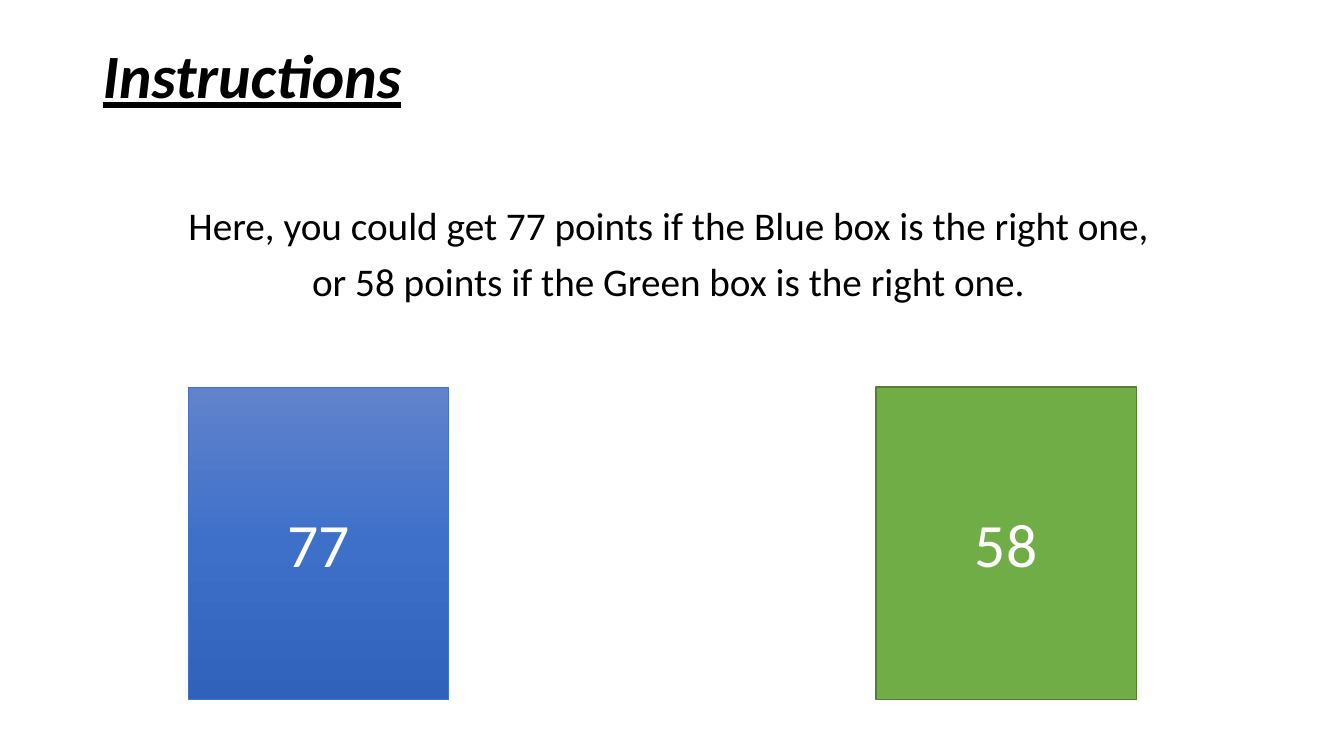
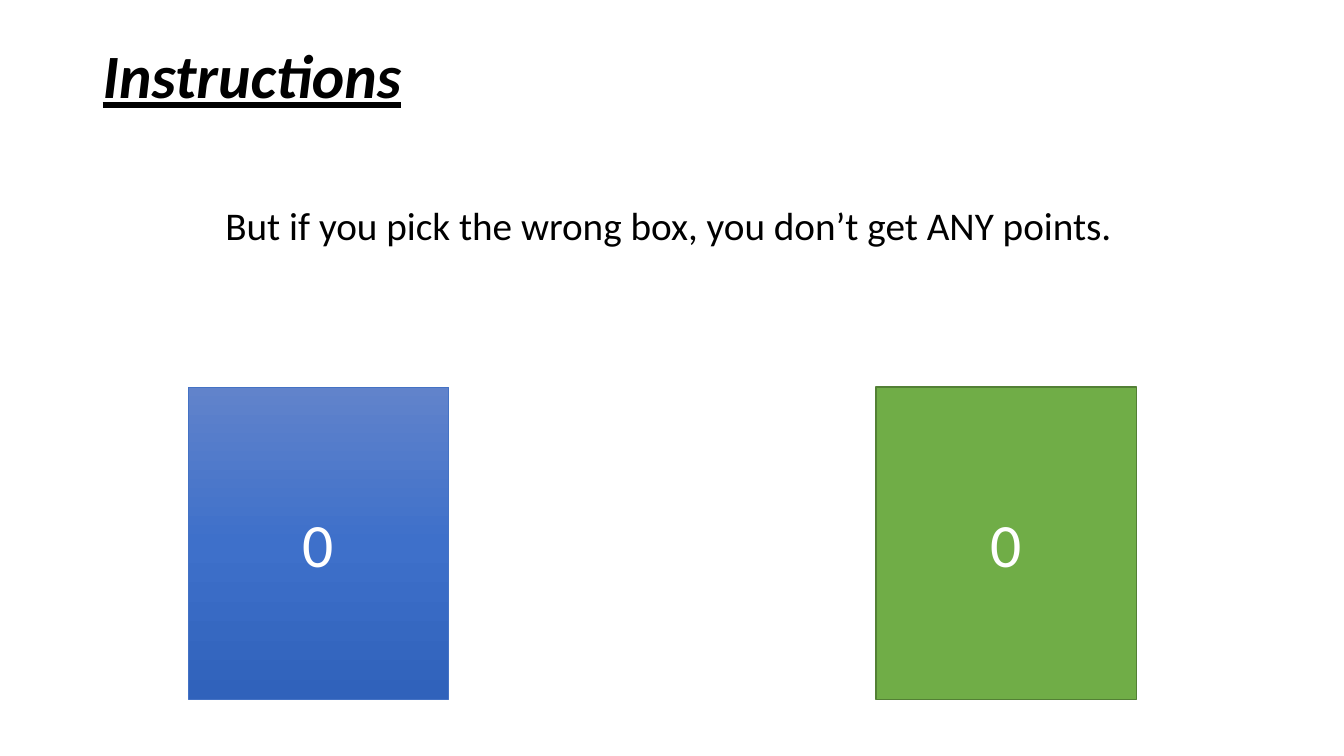
from copy import deepcopy

from pptx import Presentation
from pptx.dml.color import RGBColor
from pptx.enum.shapes import MSO_SHAPE
from pptx.enum.text import MSO_ANCHOR, PP_ALIGN
from pptx.oxml.ns import qn
from pptx.util import Inches, Pt

COLORS = {
    "text": "000000",
    "score": "FFFFFF",
    "blue_top": "6183CB",
    "blue_middle": "3E70CA",
    "blue_bottom": "3062BB",
    "blue_line": "4472C4",
    "green": "70AD47",
    "green_line": "538035",
}
BLUE_FILL = ("blue_top", "blue_middle", "blue_bottom")


class Deck:
    """Holds the shared style and the current slide."""

    font = "Calibri"
    box_top, box_width, box_height = 3.84, 2.58, 3.1

    def __init__(self):
        self.presentation = Presentation()
        self.presentation.slide_width = Inches(13.33)
        self.presentation.slide_height = Inches(7.5)
        self.slide = None

    def color(self, name):
        return RGBColor.from_string(COLORS[name])

    def new_slide(self):
        blank = self.presentation.slide_layouts[6]
        self.slide = self.presentation.slides.add_slide(blank)

    def add_run(self, paragraph, text, size, color):
        run = paragraph.add_run()
        run.text = text
        run.font.name = self.font
        run.font.size = Pt(size)
        run.font.color.rgb = self.color(color)
        return run

    def text_frame(self, left, top, width, height):
        area = self.slide.shapes.add_textbox(
            Inches(left), Inches(top), Inches(width), Inches(height))
        area.text_frame.word_wrap = True
        return area.text_frame

    def title(self, text):
        heading = self.text_frame(0.92, 0.4, 11.5, 1.45).paragraphs[0]
        heading.line_spacing = 0.9
        font = self.add_run(heading, text, 44, "text").font
        font.bold = font.italic = font.underline = True

    def message(self, lines):
        frame = self.text_frame(0.88, 2, 11.5, 1.6)
        for index, line in enumerate(lines):
            sentence = frame.add_paragraph() if index else frame.paragraphs[0]
            sentence.alignment = PP_ALIGN.CENTER
            sentence.line_spacing = 0.9
            sentence.space_before = Pt(10)
            self.add_run(sentence, line, 28, "text")

    def vertical_gradient(self, box, names):
        box.fill.gradient()
        box.fill.gradient_angle = 270
        # A new gradient has two stops; add the ones in between
        stops = box.element.spPr.find(".//" + qn("a:gsLst"))
        for _ in names[2:]:
            stops.insert(1, deepcopy(stops[0]))
        for index, (stop, name) in enumerate(zip(box.fill.gradient_stops, names)):
            stop.position = index / (len(names) - 1)
            stop.color.rgb = self.color(name)

    def score_box(self, left, score, fill, line, line_width):
        box = self.slide.shapes.add_shape(
            MSO_SHAPE.RECTANGLE, Inches(left), Inches(self.box_top),
            Inches(self.box_width), Inches(self.box_height))
        box.shadow.inherit = False
        if isinstance(fill, tuple):
            self.vertical_gradient(box, fill)
        else:
            box.fill.solid()
            box.fill.fore_color.rgb = self.color(fill)
        box.line.color.rgb = self.color(line)
        box.line.width = Pt(line_width)
        box.text_frame.vertical_anchor = MSO_ANCHOR.MIDDLE
        label = box.text_frame.paragraphs[0]
        label.alignment = PP_ALIGN.CENTER
        self.add_run(label, score, 44, "score")

    def instructions(self, lines, blue_score, green_score):
        self.new_slide()
        self.title("Instructions")
        self.message(lines)
        self.score_box(1.87, blue_score, BLUE_FILL, "blue_line", 0.5)
        self.score_box(8.69, green_score, "green", "green_line", 1)


def main():
    deck = Deck()

    # Points for the right box
    deck.instructions(
        ["Here, you could get 77 points if the Blue box is the right one,",
         "or 58 points if the Green box is the right one."],
        "77", "58")

    # No points for the wrong box
    deck.instructions(
        ["But if you pick the wrong box, you don’t get ANY points."],
        "0", "0")

    deck.presentation.save("out.pptx")


if __name__ == "__main__":
    main()
